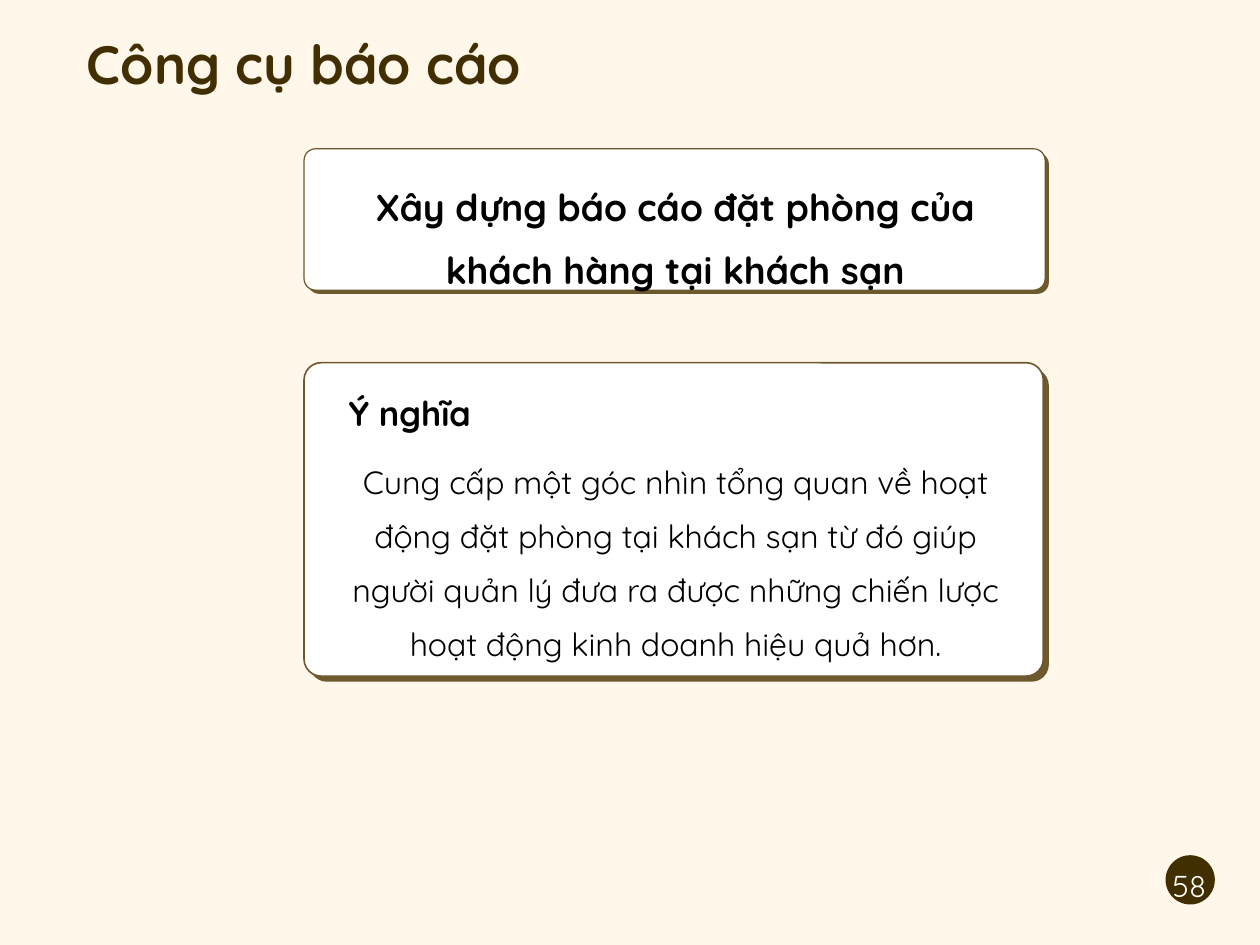
from dataclasses import dataclass

from pptx import Presentation
from pptx import util as u
from pptx.dml.color import RGBColor
from pptx.enum import shapes, text

FONT = "Quicksand"
CREAM, WHITE, BLACK = "FFF7EA", "FFFFFF", "000000"
BROWN, DARK_BROWN = "6D592D", "422F01"


@dataclass(frozen=True)
class Card:
    left: float
    top: float
    width: float
    height: float
    radius: float
    shadow_offset: float
    border: float


CARDS = [
    Card(6.54, 3.2, 15.94, 3.04, radius=0.25, shadow_offset=0.08, border=0.75),
    Card(6.54, 7.8, 15.9, 6.74, radius=0.37, shadow_offset=0.12, border=1),
]


def paint(fill, color: str) -> None:
    fill.solid()
    fill.fore_color.rgb = RGBColor.from_string(color)


def add_panel(slide, kind, left: float, top: float, width: float, height: float,
              color: str, border: float = 0):
    panel = slide.shapes.add_shape(
        kind, u.Cm(left), u.Cm(top), u.Cm(width), u.Cm(height))
    panel.shadow.inherit = False
    paint(panel.fill, color)
    if border:
        paint(panel.line.fill, BROWN)
        panel.line.width = u.Pt(border)
    else:
        panel.line.fill.background()
    return panel


def add_card(slide, card: Card) -> None:
    layers = [(card.shadow_offset, BROWN, 0), (0, WHITE, card.border)]
    for offset, color, border in layers:
        panel = add_panel(
            slide, shapes.MSO_SHAPE.ROUNDED_RECTANGLE, card.left + offset,
            card.top + offset, card.width, card.height, color, border)
        panel.adjustments[0] = card.radius / min(card.width, card.height)


def add_text(slide, words: str, left: float, top: float, width: float, height: float,
             *, size: float, color: str = BLACK, bold: bool = False,
             spacing: float = 1.4) -> None:
    box = slide.shapes.add_textbox(
        u.Cm(left), u.Cm(top), u.Cm(width), u.Cm(height))
    frame = box.text_frame
    frame.word_wrap = True
    frame.auto_size = text.MSO_AUTO_SIZE.SHAPE_TO_FIT_TEXT
    frame.margin_left = frame.margin_right = 0
    frame.margin_top = frame.margin_bottom = 0
    paragraph = frame.paragraphs[0]
    paragraph.alignment = text.PP_ALIGN.CENTER
    paragraph.line_spacing = spacing
    run = paragraph.add_run()
    run.text = words
    run.font.name = FONT
    run.font.size = u.Pt(size)
    run.font.bold = bold
    run.font.color.rgb = RGBColor.from_string(color)


def main() -> None:
    deck = Presentation()
    deck.slide_width, deck.slide_height = u.Cm(27.1), u.Cm(20.32)
    slide = deck.slides.add_slide(deck.slide_layouts[6])
    paint(slide.background.fill, CREAM)

    for card in CARDS:
        add_card(slide, card)
    add_panel(slide, shapes.MSO_SHAPE.OVAL, 25.07, 18.39, 1.06, 1.06, DARK_BROWN)

    add_text(slide, "Công cụ báo cáo", 0.76, 0.66, 11.56, 1.24,
             size=33, color=DARK_BROWN, bold=True, spacing=1.0)
    add_text(slide, "Xây dựng báo cáo đặt phòng của khách hàng tại khách sạn",
             7.35, 3.58, 14.35, 2.18, size=22.8, bold=True)
    add_text(slide, "Ý nghĩa", 6.54, 8.08, 4.55, 1.02, size=21, bold=True)
    add_text(slide, "Cung cấp một góc nhìn tổng quan về hoạt động đặt phòng tại "
             "khách sạn từ đó giúp người quản lý đưa ra được những chiến lược "
             "hoạt động kinh doanh hiệu quả hơn.",
             7.12, 9.61, 14.83, 3.78, size=19.6)
    add_text(slide, "58", 25.1, 18.58, 0.97, 0.74,
             size=18.4, color=WHITE, spacing=1.1)

    deck.save("out.pptx")


if __name__ == "__main__":
    main()
